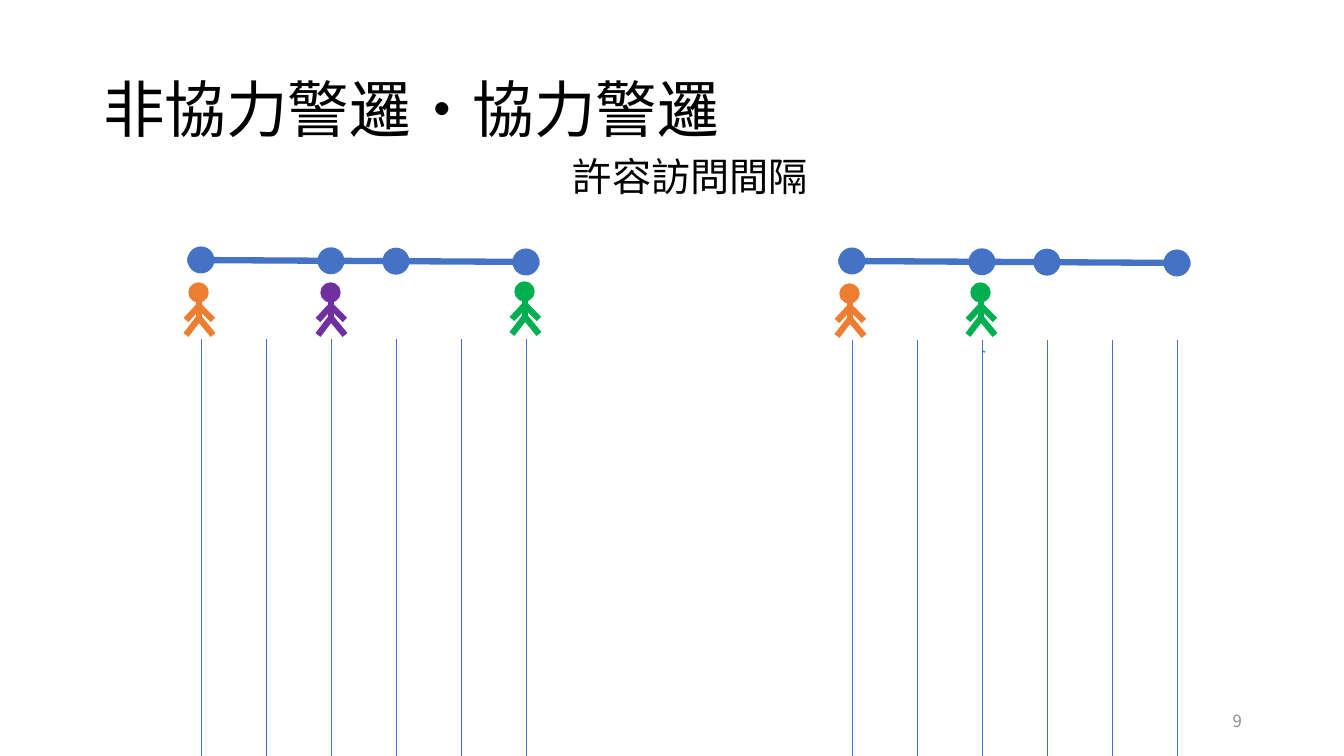
from dataclasses import dataclass

from lxml.etree import SubElement
from pptx import Presentation
from pptx.dml.color import RGBColor
from pptx.enum.shapes import MSO_CONNECTOR, MSO_SHAPE
from pptx.enum.text import MSO_ANCHOR, MSO_AUTO_SIZE, PP_ALIGN
from pptx.oxml.ns import qn
from pptx.util import Pt


@dataclass(frozen=True)
class Theme:
    font: str = "Noto Sans CJK JP"
    black: str = "000000"
    grey: str = "8C8C8C"
    blue: str = "4472C4"
    orange: str = "ED7D31"
    purple: str = "7030A0"
    green: str = "00B050"
    title: int = 44
    label: int = 28
    page_number: int = 12
    thick: float = 4.5
    route: float = 3
    outline: float = 1
    thin: float = 0.5


THEME = Theme()
TITLE = "非協力警邏・協力警邏"
LABEL = "許容訪問間隔"
PAGE_NUMBER = "9"

# Each panel: centre of its first node, then its patrollers (body x, head top, colour)
PANELS = [
    {"origin": (201, 260),
     "patrollers": [(199, 283, THEME.orange), (525, 282, THEME.green), (331, 283, THEME.purple)]},
    {"origin": (852, 261),
     "patrollers": [(850, 284, THEME.orange), (981, 283, THEME.green)]},
]
NODE_STEPS = [0, 2, 3, 5]
STEP, STEP_COUNT = 65, 5
NODE_SIZE, HEAD_SIZE = 27, 19
GRAPH_DROP = 2
TIME_TOP, TIME_LENGTH = 79, 510
# Limbs as (x, y) to (x, y), measured from the body line and the head top
LIMBS = [
    ((0, 19), (0, 37)),
    ((0, 35), (14, 52)),
    ((0, 23), (14, 37)),
    ((0, 23), (-13, 37)),
    ((0, 35), (-13, 52)),
]
ROUTE_START = ((982, 351), (985, 352))
EMU_PER_PX = 914400 / 100.8


def emu(px):
    return round(px * EMU_PER_PX)


def add_line(page, start, end, color, width):
    line = page.shapes.add_connector(MSO_CONNECTOR.STRAIGHT, *map(emu, (*start, *end)))
    line.line.color.rgb = RGBColor.from_string(color)
    line.line.width = Pt(width)
    SubElement(line._element.spPr, qn("a:effectLst"))


def add_disc(page, left, top, size, color, outlined=False):
    disc = page.shapes.add_shape(MSO_SHAPE.OVAL, *map(emu, (left, top, size, size)))
    disc.shadow.inherit = False
    disc.fill.solid()
    disc.fill.fore_color.rgb = RGBColor.from_string(color)
    if outlined:
        disc.line.color.rgb = RGBColor.from_string(color)
        disc.line.width = Pt(THEME.outline)
    else:
        disc.line.fill.background()


def write(box, text, size, color, align=PP_ALIGN.LEFT, anchor=MSO_ANCHOR.TOP, wrap=True):
    frame = box.text_frame
    frame.auto_size = MSO_AUTO_SIZE.NONE
    frame.word_wrap = wrap
    frame.vertical_anchor = anchor
    para = frame.paragraphs[0]
    para.text = text
    para.alignment = align
    para.font.size = Pt(size)
    para.font.color.rgb = RGBColor.from_string(color)
    para.font.name = THEME.font
    SubElement(para.font._element, qn("a:ea"), typeface=THEME.font)
    return para


def add_graph(page, origin):
    x, y = origin
    length = STEP * STEP_COUNT
    radius = NODE_SIZE / 2
    add_line(page, (x - radius, y), (x + length + radius, y + GRAPH_DROP), THEME.blue, THEME.thick)
    for step in NODE_STEPS:
        node_y = y + GRAPH_DROP * step / STEP_COUNT
        add_disc(page, x + step * STEP - radius, node_y - radius, NODE_SIZE, THEME.blue)


def add_patroller(page, body_x, top, color):
    add_disc(page, body_x - 10, top, HEAD_SIZE, color, outlined=True)
    for (x1, y1), (x2, y2) in LIMBS:
        add_line(page, (body_x + x1, top + y1), (body_x + x2, top + y2), color, THEME.thick)


def add_time_lines(page, origin):
    """Draw one vertical time axis below every step of the graph."""
    top = origin[1] + TIME_TOP
    for step in range(STEP_COUNT + 1):
        x = origin[0] + step * STEP
        add_line(page, (x, top), (x, top + TIME_LENGTH), THEME.blue, THEME.thin)


def main():
    deck = Presentation()
    deck.slide_width, deck.slide_height = emu(1344), emu(756)
    page = deck.slides.add_slide(deck.slide_layouts[5])

    title = page.shapes.title
    title.left, title.top, title.width, title.height = map(emu, (93, 40, 1159, 146))
    heading = write(title, TITLE, THEME.title, THEME.black, anchor=MSO_ANCHOR.MIDDLE)
    heading.line_spacing = 0.9

    label = page.shapes.add_textbox(*map(emu, (563, 147, 258, 57)))
    write(label, LABEL, THEME.label, THEME.black, wrap=False)

    add_line(page, *ROUTE_START, THEME.green, THEME.outline)
    for panel in PANELS:
        add_graph(page, panel["origin"])
        for patroller in panel["patrollers"]:
            add_patroller(page, *patroller)
        add_time_lines(page, panel["origin"])

    number = page.shapes.add_textbox(*map(emu, (950, 701, 302, 40)))
    write(number, PAGE_NUMBER, THEME.page_number, THEME.grey, PP_ALIGN.RIGHT, MSO_ANCHOR.MIDDLE)

    deck.save("out.pptx")


if __name__ == "__main__":
    main()
